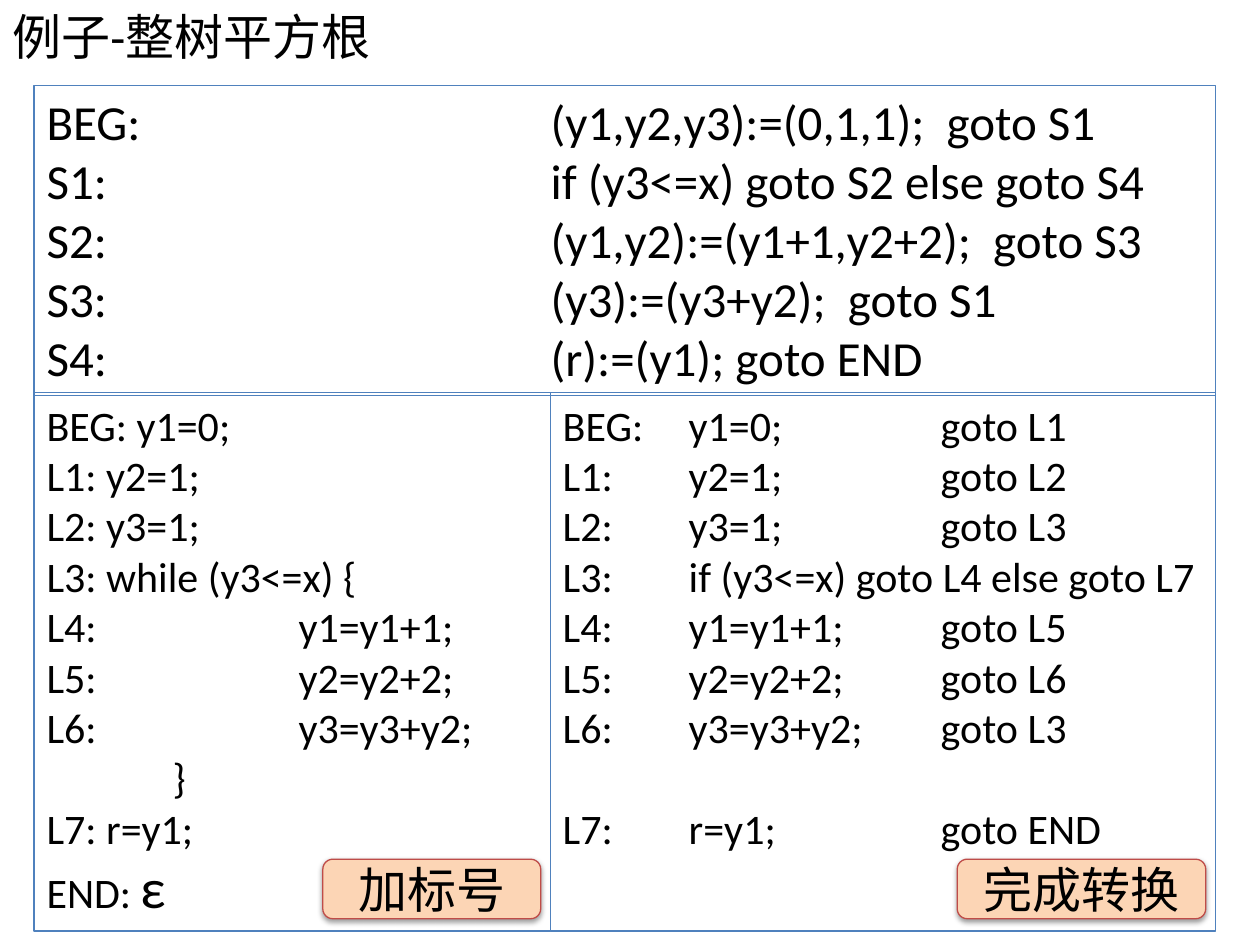
from lxml import etree
from pptx import Presentation
from pptx.dml.color import RGBColor
from pptx.enum.shapes import MSO_SHAPE
from pptx.enum.text import MSO_ANCHOR, MSO_AUTO_SIZE, PP_ALIGN
from pptx.oxml.ns import qn
from pptx.util import Pt

RECTANGLE, ROUNDED = MSO_SHAPE.RECTANGLE, MSO_SHAPE.ROUNDED_RECTANGLE
TOP, MIDDLE = MSO_ANCHOR.TOP, MSO_ANCHOR.MIDDLE
LEFT, CENTER = PP_ALIGN.LEFT, PP_ALIGN.CENTER
FIXED = MSO_AUTO_SIZE.NONE

TITLE = "例子-整树平方根"
TRANSITIONS = [
    "BEG:\t\t\t\t(y1,y2,y3):=(0,1,1);  goto S1",
    "S1:\t\t\t\tif (y3<=x) goto S2 else goto S4",
    "S2:\t\t\t\t(y1,y2):=(y1+1,y2+2);  goto S3",
    "S3:\t\t\t\t(y3):=(y3+y2);  goto S1",
    "S4:\t\t\t\t(r):=(y1); goto END",
]
LABELLED = [
    "BEG: y1=0;",
    "L1: y2=1;",
    "L2: y3=1;",
    "L3: while (y3<=x) {",
    "L4:\t\ty1=y1+1;",
    "L5:\t\ty2=y2+2;",
    "L6:\t\ty3=y3+y2;",
    "\t}",
    "L7: r=y1;",
    "END: ",
]
CONVERTED = [
    "BEG: \ty1=0; \t\tgoto L1",
    "L1:\ty2=1; \t\tgoto L2",
    "L2: \ty3=1;\t\tgoto L3",
    "L3:\tif (y3<=x) goto L4 else goto L7",
    "L4:\ty1=y1+1; \tgoto L5",
    "L5:\ty2=y2+2;  \tgoto L6",
    "L6:\ty3=y3+y2;  \tgoto L3",
    "L7: \tr=y1; \t\tgoto END",
]
EDGE, SPLIT, RIGHT = 19.5, 314.5, 694.5
LOWER_TOP, LOWER_HEIGHT = 224.5, 307.5
PANELS = [
    (LABELLED, 24, (EDGE, LOWER_TOP, SPLIT - EDGE, LOWER_HEIGHT)),
    (TRANSITIONS, 28, (EDGE, 49, RIGHT - EDGE, 177)),
    (CONVERTED, 24, (SPLIT, LOWER_TOP, RIGHT - SPLIT, LOWER_HEIGHT)),
]
BADGES = [("完成转换", RIGHT, 142), ("加标号", SPLIT, 124.5)]
BADGE_TOP, BADGE_HEIGHT, BADGE_GAP = 491, 34, 5.5


def color(code):
    return RGBColor.from_string(code)


def style(target, **values):
    for name, value in values.items():
        setattr(target, name, value)


def style_font(font, size):
    style(font, name="Calibri", size=Pt(size))
    font.color.rgb = color("000000")


def write(box, lines, size, anchor=TOP, align=LEFT):
    frame = box.text_frame
    style(frame, word_wrap=True, auto_size=FIXED, vertical_anchor=anchor)
    for index, line in enumerate(lines):
        para = frame.paragraphs[0] if index == 0 else frame.add_paragraph()
        para.alignment = align
        if "\t" in line:
            stops = etree.SubElement(para._p.get_or_add_pPr(), qn("a:tabLst"))
            for inch in range(1, 5):
                etree.SubElement(stops, qn("a:tab"), pos=str(Pt(72 * inch)), algn="l")
        span = para.add_run()
        span.text = line
        style_font(span.font, size)
    return frame.paragraphs


def add_box(slide, kind, bounds, line, fill=None):
    box = slide.shapes.add_shape(kind, *map(Pt, bounds))
    box.shadow.inherit = False
    if fill:
        box.fill.solid()
        box.fill.fore_color.rgb = color(fill)
    else:
        box.fill.background()
    box.line.color.rgb = color(line)
    box.line.width = Pt(0.75)
    return box


def add_shadow(box):
    effects = box._element.spPr.find(qn("a:effectLst"))
    shadow = etree.SubElement(effects, qn("a:outerShdw"), blurRad=str(Pt(3.1)),
                              dist=str(Pt(1.6)), dir="5400000", rotWithShape="0")
    shade = etree.SubElement(shadow, qn("a:srgbClr"), val="000000")
    etree.SubElement(shade, qn("a:alpha"), val="38000")


def main():
    """Build the slide that turns a labelled program into goto form."""
    deck = Presentation()
    style(deck, slide_width=Pt(720), slide_height=Pt(540))
    page = deck.slides.add_slide(deck.slide_layouts[5])
    title = page.shapes.title
    style(title, left=Pt(0), top=Pt(0), width=Pt(720), height=Pt(74))
    write(title, [TITLE], 28)

    panels = []
    for lines, size, bounds in PANELS:
        box = add_box(page, RECTANGLE, bounds, "4F81BD")
        panels.append(write(box, lines, size))
    epsilon = panels[0][-1].add_run()
    epsilon.text = "ε"
    style_font(epsilon.font, 32)
    panels[2][-1].space_before = Pt(29)

    for label, right, width in BADGES:
        bounds = (right - BADGE_GAP - width, BADGE_TOP, width, BADGE_HEIGHT)
        badge = add_box(page, ROUNDED, bounds, "BF4C48", "FCD5B5")
        add_shadow(badge)
        write(badge, [label], 28, MIDDLE, CENTER)
    deck.save("out.pptx")


if __name__ == "__main__":
    main()
